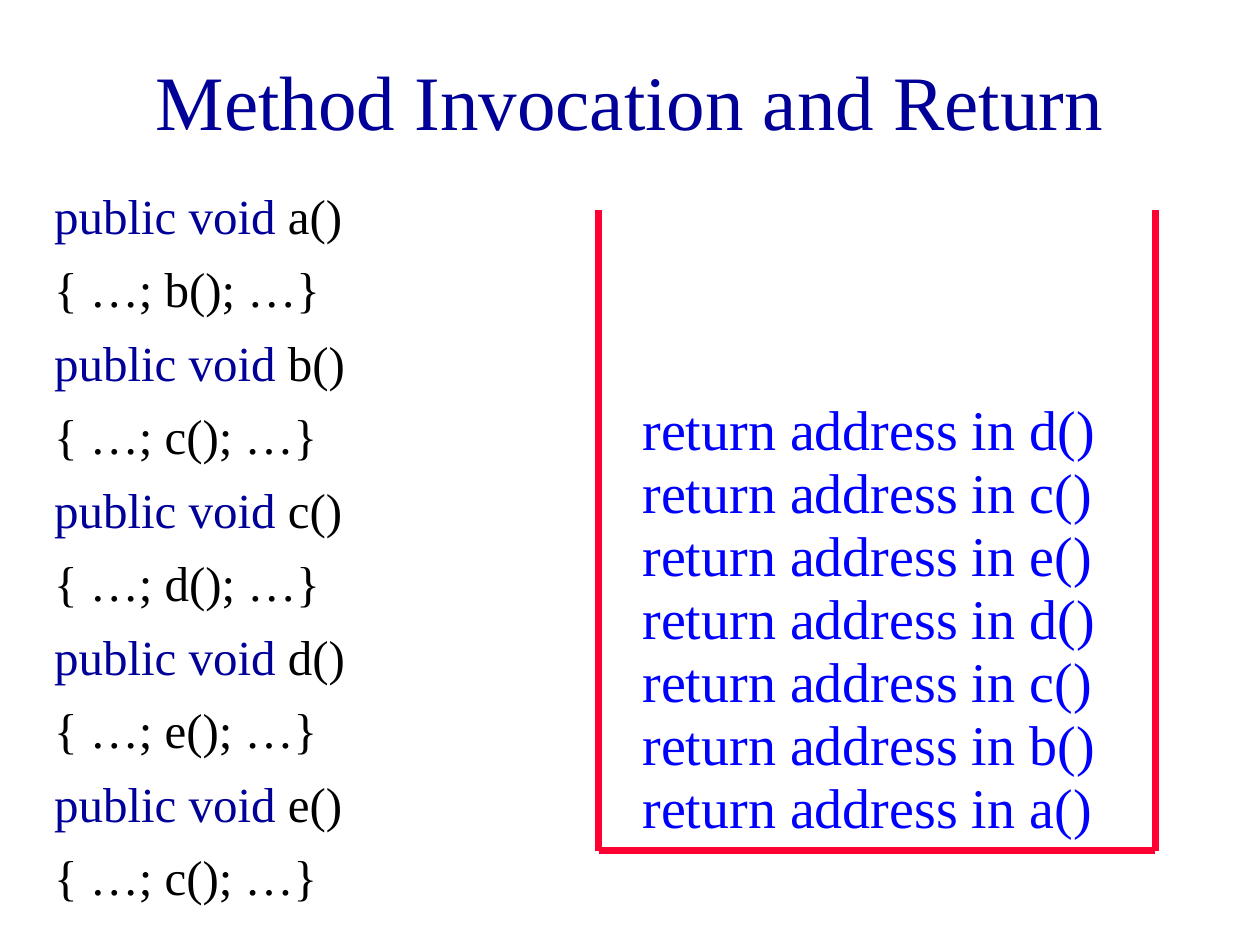
from pptx import Presentation
from pptx.dml.color import RGBColor
from pptx.enum.shapes import MSO_CONNECTOR
from pptx.enum.text import MSO_ANCHOR, MSO_AUTO_SIZE, PP_ALIGN
from pptx.oxml.ns import qn
from pptx.util import Inches, Pt
from lxml.etree import SubElement

COLORS = {"navy": "000099", "black": "000000", "blue": "0000FF", "red": "FF0033"}
FONT = "Times New Roman"


def add_span(para, text, size, color):
    span = para.add_run()
    span.text = text
    for name, value in {"name": FONT, "size": Pt(size)}.items():
        setattr(span.font, name, value)
    span.font.color.rgb = RGBColor.from_string(COLORS[color])


def place(box, left, top, width, height):
    edges = {"left": left, "top": top, "width": width, "height": height}
    for name, value in edges.items():
        setattr(box, name, Inches(value))
    frame_format = {
        "word_wrap": True,
        "auto_size": MSO_AUTO_SIZE.NONE,
        "vertical_anchor": MSO_ANCHOR.TOP,
    }
    for name, value in frame_format.items():
        setattr(box.text_frame, name, value)


deck = Presentation()
deck.slide_width, deck.slide_height = Inches(10), Inches(7.5)
page = deck.slides.add_slide(deck.slide_layouts[1])
title, body = page.placeholders

# Title
place(title, 0.75, 0.17, 8.5, 1.25)
title.text_frame.vertical_anchor = MSO_ANCHOR.MIDDLE
title_para = title.text_frame.paragraphs[0]
title_para.alignment = PP_ALIGN.CENTER
add_span(title_para, "Method Invocation and Return", 44, "navy")

# Code listing: each method calls the next one
place(body, 0.33, 1.42, 2.83, 5.75)
code_lines = []
for method, callee in ("ab", "bc", "cd", "de", "ec"):
    code_lines.append([("public void", "navy"), (f" {method}()", "black")])
    code_lines.append([(f"{{ …; {callee}(); …}}", "black")])

for index, line in enumerate(code_lines):
    frame = body.text_frame
    para = frame.add_paragraph() if index else frame.paragraphs[0]
    para.space_before = Pt(8.4)
    props = para._p.get_or_add_pPr()
    props.set("marL", str(Inches(0.38)))
    props.set("indent", str(Inches(-0.38)))
    SubElement(props, qn("a:buNone"))
    for text, color in line:
        add_span(para, text, 28, color)

# Open-topped stack outline
left, right, top, bottom = 4.75, 9.17, 1.67, 6.75
stack = page.shapes.add_group_shape()
for ends in (
    (left, top, left, bottom),
    (left, bottom, right, bottom),
    (right, top, right, bottom),
):
    side = stack.shapes.add_connector(MSO_CONNECTOR.STRAIGHT, *map(Inches, ends))
    side.line.color.rgb = RGBColor.from_string(COLORS["red"])
    side.line.width = Pt(4)
    SubElement(side._element.spPr, qn("a:effectLst"))

# Return addresses, pushed from the bottom up
for level, caller in enumerate("abcdecd"):
    box = page.shapes.add_textbox(0, 0, 0, 0)
    place(box, 5, 6.08 - 0.5 * level, 4.17, 0.63)
    box.text_frame.auto_size = MSO_AUTO_SIZE.SHAPE_TO_FIT_TEXT
    para = box.text_frame.paragraphs[0]
    para.space_before = Pt(20)
    add_span(para, f"return address in {caller}()", 32, "blue")

deck.save("out.pptx")
